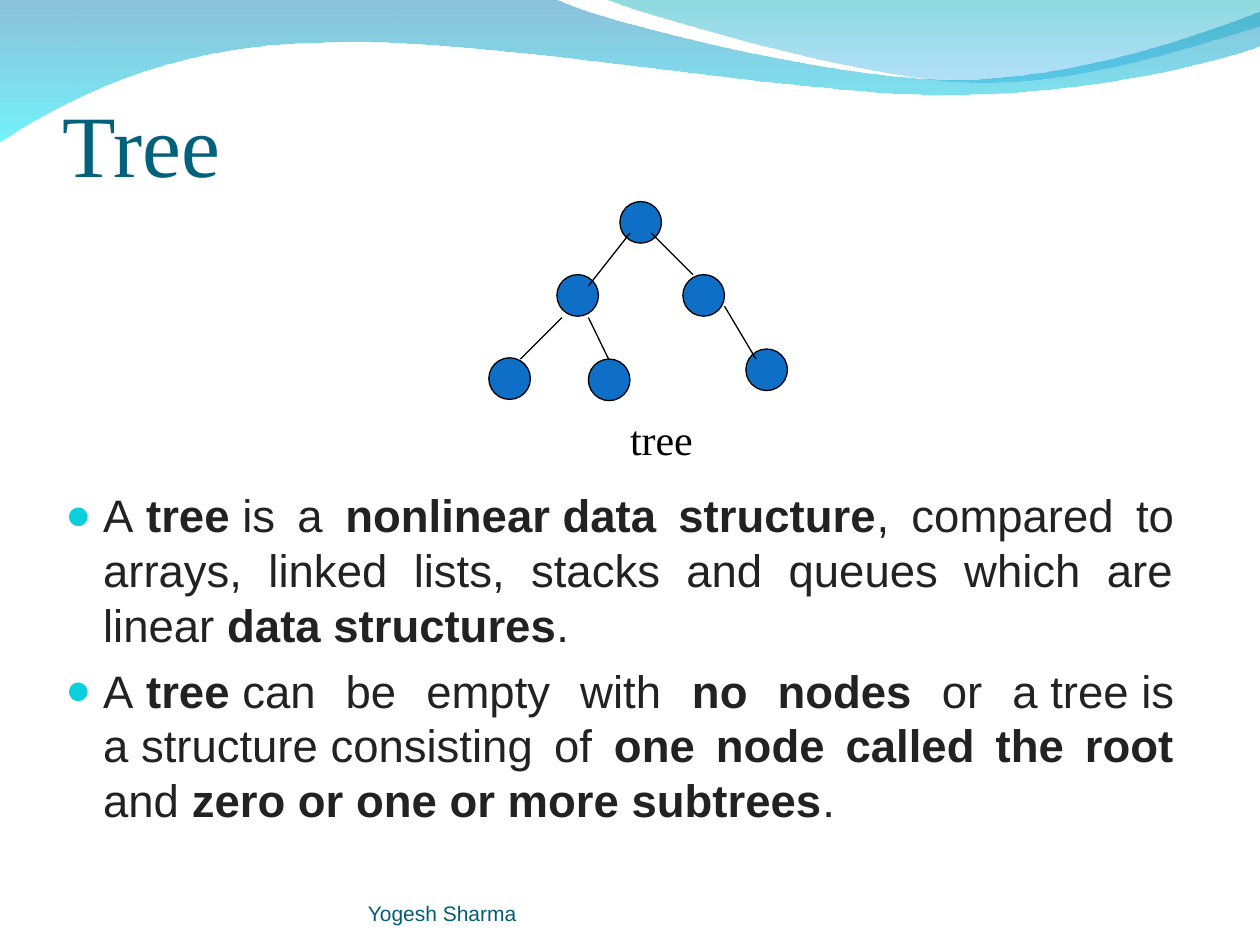
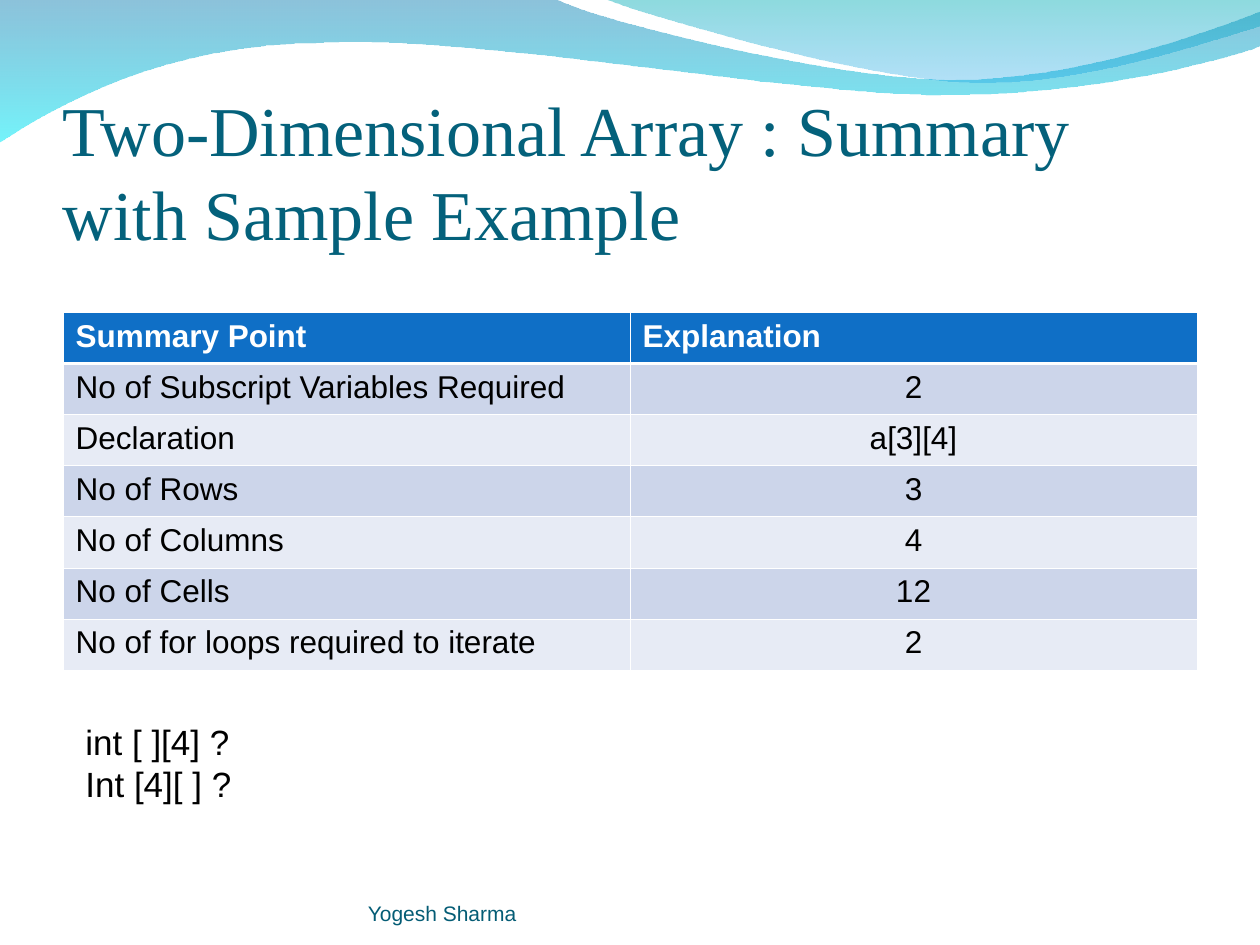
import pptx
import pptx.util
import pptx.dml.color
import pptx.enum.text
import pptx.enum.shapes
import pptx.oxml.ns
from lxml import etree

Inches = pptx.util.Inches
Pt = pptx.util.Pt
ALIGN = pptx.enum.text.PP_ALIGN
ANCHOR = pptx.enum.text.MSO_ANCHOR
SERIF, SANS = "Times New Roman", "Arial"
INSET = (0.1, 0.05, 0.1, 0.05)
HARD = chr(160)
HUES = {
    "title": "04617B", "footer": "045C75", "body": "222222", "bullet": "0BD0D9",
    "black": "000000", "white": "FFFFFF", "blue": "0F6FC6",
    "dark": "CCD5EA", "light": "E7EBF5",
    "navy": "0079AF", "aqua": "00EBF8", "teal": "00ADB6", "sky": "009BE5",
}
WAVES = [
    ((0, -0.01), [
        [(4.4, -0.01)],
        [(4.76, 0.17), (6.64, 0.63), (7.58, 0.63)],
        [(8.53, 0.63), (9.58, 0.26), (10, 0.09)],
        [(10.01, 0.36)],
        [(9.83, 0.44), (8.7, 0.76), (7.46, 0.75)],
        [(6.22, 0.75), (3.82, 0.28), (2.57, 0.34)],
        [(1.29, 0.35), (0.46, 0.83), (-0.01, 1.13)],
    ], [("navy", 45), ("aqua", 55)]),
    ((4.79, -0.01), [
        [(5.09, 0.11), (6.82, 0.62), (7.69, 0.65)],
        [(8.56, 0.69), (9.61, 0.32), (10, 0.21)],
        [(10, 0)],
    ], [("teal", 45), ("sky", 30)]),
]
POINTS = [
    [("A~", 0), ("tree", 1), ("~is a ", 0), ("nonlinear~data structure", 1),
     (", compared to arrays, linked lists, stacks and queues which are linear~", 0),
     ("data structures", 1), (".", 0)],
    [("A~", 0), ("tree", 1), ("~can be empty with ", 0), ("no nodes ", 1),
     ("or a~tree~is a~structure~consisting of ", 0),
     ("one node called the root ", 1), ("and ", 0),
     ("zero or one or more subtrees", 1), (".", 0)],
]
ROWS = [
    ("Summary Point", "Explanation"),
    ("No of Subscript Variables Required", "2"),
    ("Declaration", "a[3][4]"),
    ("No of Rows", "3"),
    ("No of Columns", "4"),
    ("No of Cells", "12"),
    ("No of for loops required to iterate", "2"),
]
NODES = [(1.04, 0), (0.54, 0.58), (1.54, 0.58), (0, 1.24), (0.79, 1.25), (2.04, 1.17)]
EDGES = [
    (1.12, 0.25, 0.79, 0.67), (1.29, 0.25, 1.62, 0.58), (0.58, 0.92, 0.25, 1.25),
    (0.79, 0.92, 0.95, 1.25), (1.87, 0.83, 2.12, 1.25),
]


def hue(name):
    return pptx.dml.color.RGBColor.from_string(HUES[name])


def add(parent, tag, **attrs):
    return etree.SubElement(parent, pptx.oxml.ns.qn(tag), attrs)


def find(shape, tag):
    return list(shape.element.iter(pptx.oxml.ns.qn(tag)))


def style(run, size, font, color, bold=False):
    run.font.size = Pt(size)
    run.font.name = font
    run.font.color.rgb = hue(color)
    run.font.bold = bold


def frame(slide, box, inset=INSET, anchor=ANCHOR.TOP, wrap=True):
    text = slide.shapes.add_textbox(*map(Inches, box)).text_frame
    text.word_wrap = wrap
    text.vertical_anchor = anchor
    (text.margin_left, text.margin_top,
     text.margin_right, text.margin_bottom) = map(Inches, inset)
    return text


def label(slide, box, words, size, font, color, align=ALIGN.LEFT, **opts):
    text = frame(slide, box, **opts)
    text.text = words
    for para in text.paragraphs:
        para.alignment = align
        for run in para.runs:
            style(run, size, font, color)


def bend(shape, parts):
    for line, part in zip(find(shape, "a:lnTo"), parts):
        if len(part) == 3:
            curve = etree.Element(pptx.oxml.ns.qn("a:cubicBezTo"))
            for x, y in part:
                add(curve, "a:pt", x=str(Inches(x) - shape.left),
                    y=str(Inches(y) - shape.top))
            line.getparent().replace(line, curve)


def wave(slide, start, parts, stops):
    form = slide.shapes.build_freeform(*map(Inches, start))
    ends = [tuple(map(Inches, part[-1])) for part in parts]
    form.add_line_segments(ends, close=True)
    shape = form.convert_to_shape()
    bend(shape, parts)
    shape.shadow.inherit = False
    shape.line.fill.background()
    shape.fill.gradient()
    shape.fill.gradient_angle = 270
    for stop, (name, alpha) in zip(shape.fill.gradient_stops, stops):
        stop.color.rgb = hue(name)
    for color, (name, alpha) in zip(find(shape, "a:srgbClr"), stops):
        add(color, "a:alpha", val=str(alpha * 1000))


def base(deck, title, box, size):
    slide = deck.slides.add_slide(deck.slide_layouts[6])
    for item in WAVES:
        wave(slide, *item)
    label(slide, box, title, size, SERIF, "title",
          inset=(0, 0.05, 0, 0), anchor=ANCHOR.BOTTOM)
    label(slide, (2.92, 6.95, 3.67, 0.4), "Yogesh Sharma", 12, SANS, "footer",
          inset=(0, 0, 0, 0), anchor=ANCHOR.BOTTOM)
    return slide


def tree(slide, left, top):
    for x, y in NODES:
        node = slide.shapes.add_shape(
            pptx.enum.shapes.MSO_SHAPE.OVAL,
            *map(Inches, (left + x, top + y, 0.33, 0.33)))
        node.shadow.inherit = False
        node.fill.solid()
        node.fill.fore_color.rgb = hue("blue")
        node.line.color.rgb = hue("black")
        node.line.width = Pt(0.75)
    for x1, y1, x2, y2 in EDGES:
        edge = slide.shapes.add_connector(
            pptx.enum.shapes.MSO_CONNECTOR.STRAIGHT,
            *map(Inches, (left + x1, top + y1, left + x2, top + y2)))
        edge.line.color.rgb = hue("black")
        edge.line.width = Pt(0.75)
        add(edge.element.spPr, "a:effectLst")
    label(slide, (left + 1.02, top + 1.63, 0.7, 0.5), "tree", 24, SERIF, "black",
          align=ALIGN.CENTER, wrap=False)


def bullets(slide, box):
    text = frame(slide, box)
    for i, point in enumerate(POINTS):
        para = text.add_paragraph() if i else text.paragraphs[0]
        para.alignment = ALIGN.JUSTIFY
        if i:
            para.space_before = Pt(6.5)
        props = para._p.get_or_add_pPr()
        props.set("marL", str(Inches(0.3)))
        props.set("indent", str(Inches(-0.3)))
        add(add(props, "a:buClr"), "a:srgbClr", val=HUES["bullet"])
        add(props, "a:buSzPct", val="95000")
        add(props, "a:buFont", typeface=SANS)
        add(props, "a:buChar", char="●")
        for words, bold in point:
            run = para.add_run()
            run.text = words.replace("~", HARD)
            style(run, 26, SANS, "body", bool(bold))


def border(cell, row):
    props = cell._tc.get_or_add_tcPr()
    thick = {"T": row == 1, "B": row == 0}
    for side in "LRTB":
        width = Pt(1.47 if thick.get(side) else 0.45)
        line = add(props, "a:ln" + side, w=str(width))
        add(add(line, "a:solidFill"), "a:srgbClr", val=HUES["white"])


def summary(slide, box):
    grid = slide.shapes.add_table(len(ROWS), 2, *map(Inches, box)).table
    for r, row in enumerate(ROWS):
        for c, words in enumerate(row):
            cell = grid.cell(r, c)
            border(cell, r)
            cell.fill.solid()
            cell.fill.fore_color.rgb = hue(
                "blue" if r == 0 else "dark" if r % 2 else "light")
            cell.text_frame.text = words
            para = cell.text_frame.paragraphs[0]
            para.alignment = ALIGN.CENTER if r and c else ALIGN.LEFT
            style(para.runs[0], 18, SANS, "black" if r else "white", r == 0)


def main():
    deck = pptx.Presentation()
    deck.slide_width, deck.slide_height = Inches(10), Inches(7.5)

    slide = base(deck, "Tree", (0.5, 0.3, 9, 1.25), 50)
    bullets(slide, (0.42, 3.82, 9, 3.23))
    tree(slide, 3.88, 1.6)

    slide = base(deck, "Two-Dimensional Array : Summary with Sample Example",
                 (0.5, 0.33, 9, 1.69), 40)
    summary(slide, (0.5, 2.48, 9, 2.84))
    label(slide, (0.58, 5.67, 8.83, 0.77), "int [ ][4] ?\nInt [4][ ] ?",
          20, SANS, "black")
    deck.save("out.pptx")


if __name__ == "__main__":
    main()
